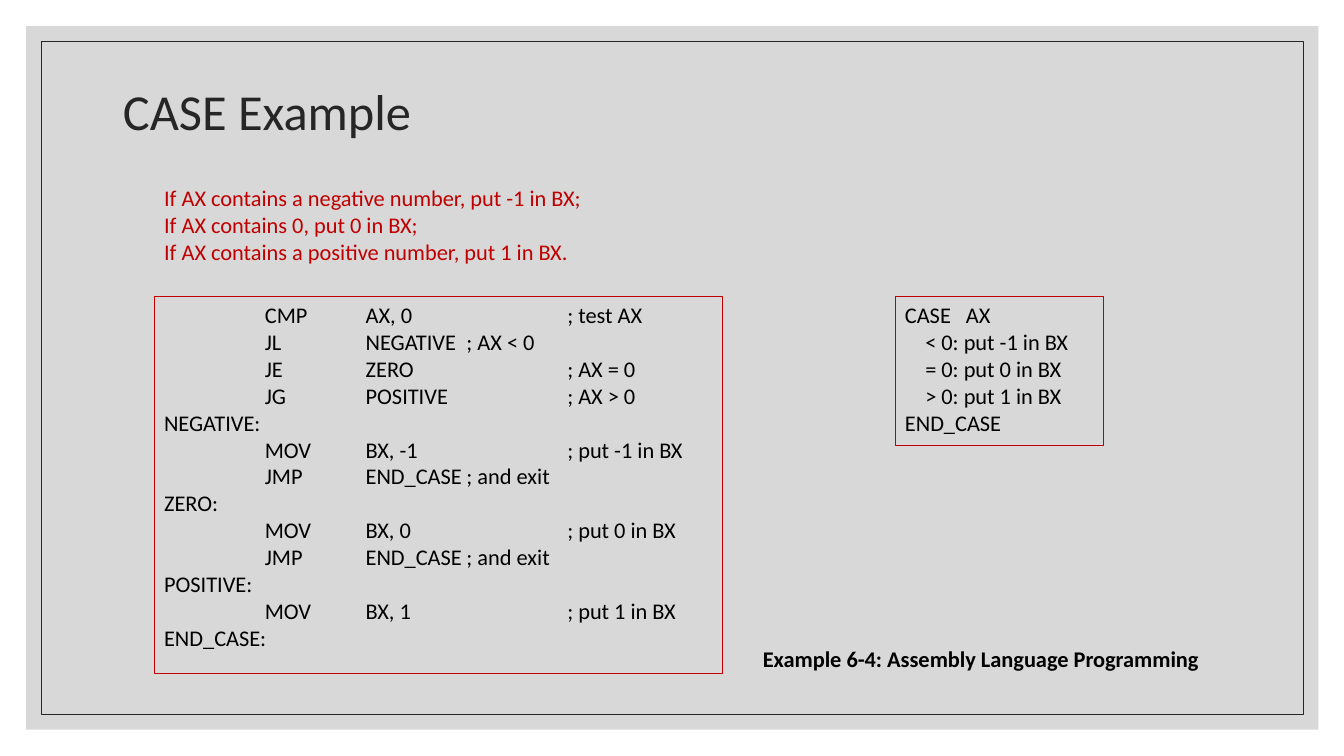
"""Build the CASE example slide for an assembly language lesson."""
from dataclasses import dataclass

from lxml import etree
from pptx import Presentation
from pptx.dml.color import RGBColor
from pptx.enum.shapes import MSO_SHAPE
from pptx.enum.text import MSO_ANCHOR, MSO_AUTO_SIZE, PP_ALIGN
from pptx.oxml.ns import qn
from pptx.util import Pt

RECTANGLE = MSO_SHAPE.RECTANGLE
TOP, MIDDLE = MSO_ANCHOR.TOP, MSO_ANCHOR.MIDDLE
LEFT = PP_ALIGN.LEFT
NO_AUTOFIT = MSO_AUTO_SIZE.NONE
TITLE_ONLY = 5
FONT = "Calibri"
BLACK, CHARCOAL, RED, GRAY = "000000", "262626", "C00000", "BFBFBF"


@dataclass(frozen=True)
class Panel:
    """A rectangle with an optional translucent fill or outline."""
    left: float
    top: float
    width: float
    height: float
    fill: str = ""
    opacity: int = 100
    line: str = ""
    line_width: float = 0.75


@dataclass(frozen=True)
class TextBlock:
    """Lines of text inside a panel."""
    panel: Panel
    lines: tuple[str, ...]
    color: str = BLACK
    bold: bool = False
    indented: tuple[int, ...] = ()
    indent: float = 0
    tab_stops: tuple[float, ...] = ()


BACKDROP = (
    Panel(18.72, 18.72, 923.04, 502.56, fill=GRAY, opacity=60),
    Panel(29.52, 29.52, 901.44, 480.96, line=CHARCOAL, line_width=0.5),
)

TEXT_BLOCKS = (
    TextBlock(
        Panel(110.16, 128.16, 354.24, 65.52),
        (
            "If AX contains a negative number, put -1 in BX;",
            "If AX contains 0, put 0 in BX;",
            "If AX contains a positive number, put 1 in BX.",
        ),
        color=RED,
    ),
    TextBlock(
        Panel(639.36, 211.68, 149.04, 106.56, line=RED),
        (
            "CASE\tAX",
            "< 0: put -1 in BX",
            "= 0: put 0 in BX",
            "> 0: put 1 in BX",
            "END_CASE",
        ),
        indented=(1, 2, 3),
        indent=14.5,
        tab_stops=(43.5,),
    ),
    TextBlock(
        Panel(110.16, 211.68, 406.08, 269.28, line=RED),
        (
            "\tCMP\tAX, 0\t\t; test AX",
            "\tJL\tNEGATIVE\t; AX < 0",
            "\tJE\tZERO\t\t; AX = 0",
            "\tJG\tPOSITIVE\t\t; AX > 0",
            "NEGATIVE:",
            "\tMOV\tBX, -1\t\t; put -1 in BX",
            "\tJMP\tEND_CASE\t; and exit",
            "ZERO:",
            "\tMOV\tBX, 0\t\t; put 0 in BX",
            "\tJMP\tEND_CASE\t; and exit",
            "POSITIVE:",
            "\tMOV\tBX, 1\t\t; put 1 in BX",
            "END_CASE:",
        ),
        tab_stops=(72, 144, 216, 288),
    ),
    TextBlock(
        Panel(537.84, 457.2, 385.92, 26.64),
        ("Example 6-4: Assembly Language Programming",),
        bold=True,
    ),
)


def rgb(color: str) -> RGBColor:
    """Return the colour for a hex string."""
    return RGBColor.from_string(color)


def format_runs(paragraph, size: float, color: str, bold: bool = False) -> None:
    """Give every run of a paragraph the same font."""
    for run in paragraph.runs:
        run.font.name = FONT
        run.font.size = Pt(size)
        run.font.bold = bold
        run.font.color.rgb = rgb(color)


def add_panel(slide, panel: Panel):
    """Draw a rectangle and return its shape."""
    shape = slide.shapes.add_shape(
        RECTANGLE, Pt(panel.left), Pt(panel.top), Pt(panel.width), Pt(panel.height)
    )
    shape.shadow.inherit = False
    if panel.fill:
        shape.fill.solid()
        shape.fill.fore_color.rgb = rgb(panel.fill)
        color = shape.element.spPr.find(".//" + qn("a:srgbClr"))
        etree.SubElement(color, qn("a:alpha"), val=str(panel.opacity * 1000))
    else:
        shape.fill.background()
    if panel.line:
        shape.line.color.rgb = rgb(panel.line)
        shape.line.width = Pt(panel.line_width)
    else:
        shape.line.fill.background()
    return shape


def add_text_block(slide, block: TextBlock) -> None:
    """Draw a panel and write its lines from the top left."""
    if block.panel.line:
        shape = add_panel(slide, block.panel)
    else:
        panel = block.panel
        shape = slide.shapes.add_textbox(
            Pt(panel.left), Pt(panel.top), Pt(panel.width), Pt(panel.height)
        )
    text_frame = shape.text_frame
    text_frame.word_wrap = True
    text_frame.vertical_anchor = TOP
    text_frame.text = "\n".join(block.lines)
    for index, paragraph in enumerate(text_frame.paragraphs):
        paragraph.alignment = LEFT
        format_runs(paragraph, 16, block.color, block.bold)
        properties = paragraph._p.get_or_add_pPr()
        if index in block.indented:
            properties.set("marL", str(Pt(block.indent)))
        elif block.tab_stops:
            tabs = etree.SubElement(properties, qn("a:tabLst"))
            for stop in block.tab_stops:
                etree.SubElement(tabs, qn("a:tab"), pos=str(Pt(stop)), algn="l")


def place_title(slide) -> None:
    """Write the title and bring it in front of the backdrop."""
    title = slide.shapes.title
    title.left, title.top = Pt(80.64), Pt(56.16)
    title.width, title.height = Pt(648), Pt(50.4)
    text_frame = title.text_frame
    text_frame.text = "CASE Example"
    text_frame.word_wrap = True
    text_frame.auto_size = NO_AUTOFIT
    text_frame.vertical_anchor = MIDDLE
    paragraph = text_frame.paragraphs[0]
    paragraph.alignment = LEFT
    paragraph.line_spacing = 0.9
    format_runs(paragraph, 36, CHARCOAL)
    slide.shapes.element.append(title.element)


def main() -> None:
    """Create and save the presentation."""
    presentation = Presentation()
    presentation.slide_width, presentation.slide_height = Pt(960), Pt(540)
    slide = presentation.slides.add_slide(presentation.slide_layouts[TITLE_ONLY])
    for panel in BACKDROP:
        add_panel(slide, panel)
    place_title(slide)
    for block in TEXT_BLOCKS:
        add_text_block(slide, block)
    presentation.save("out.pptx")


if __name__ == "__main__":
    main()
